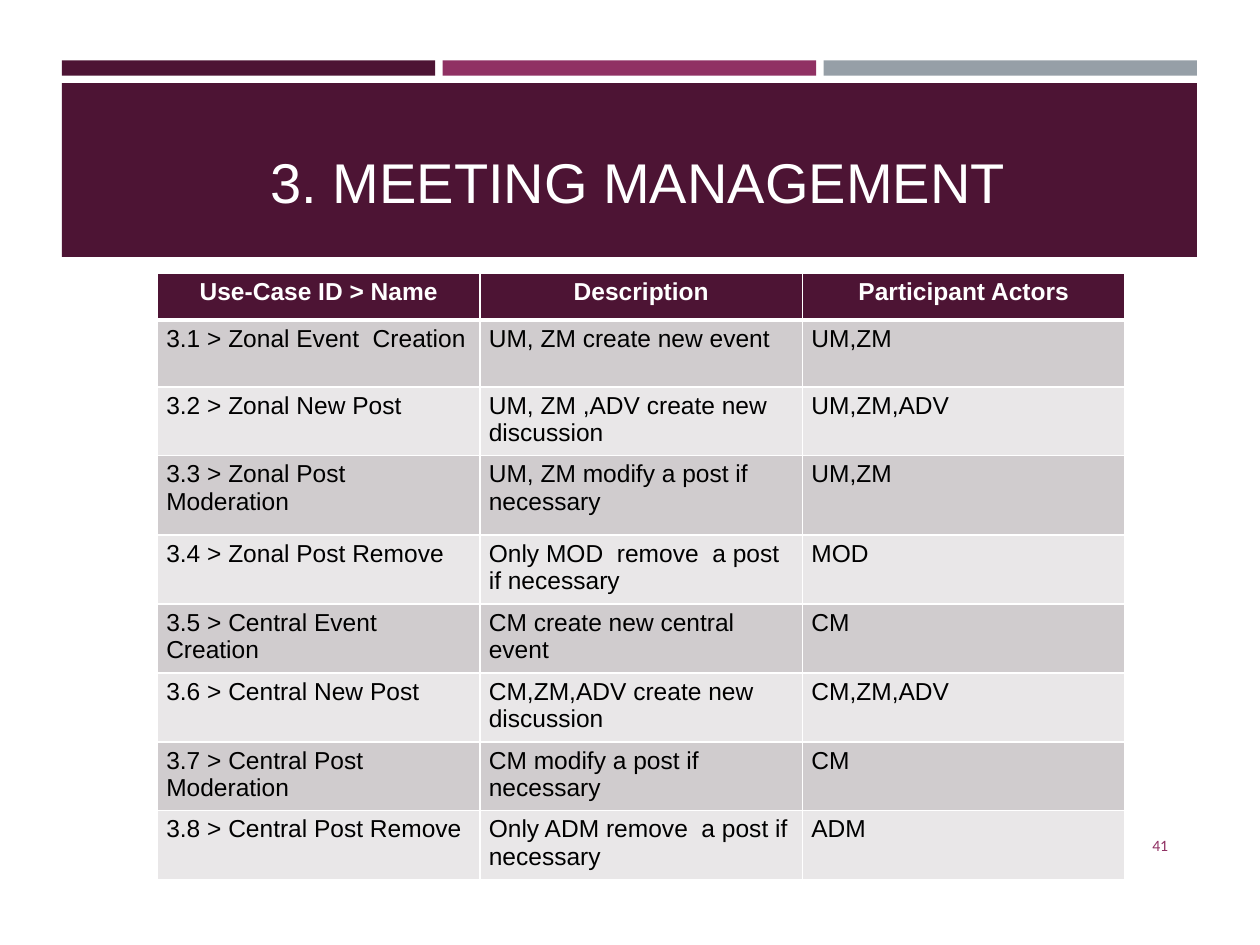
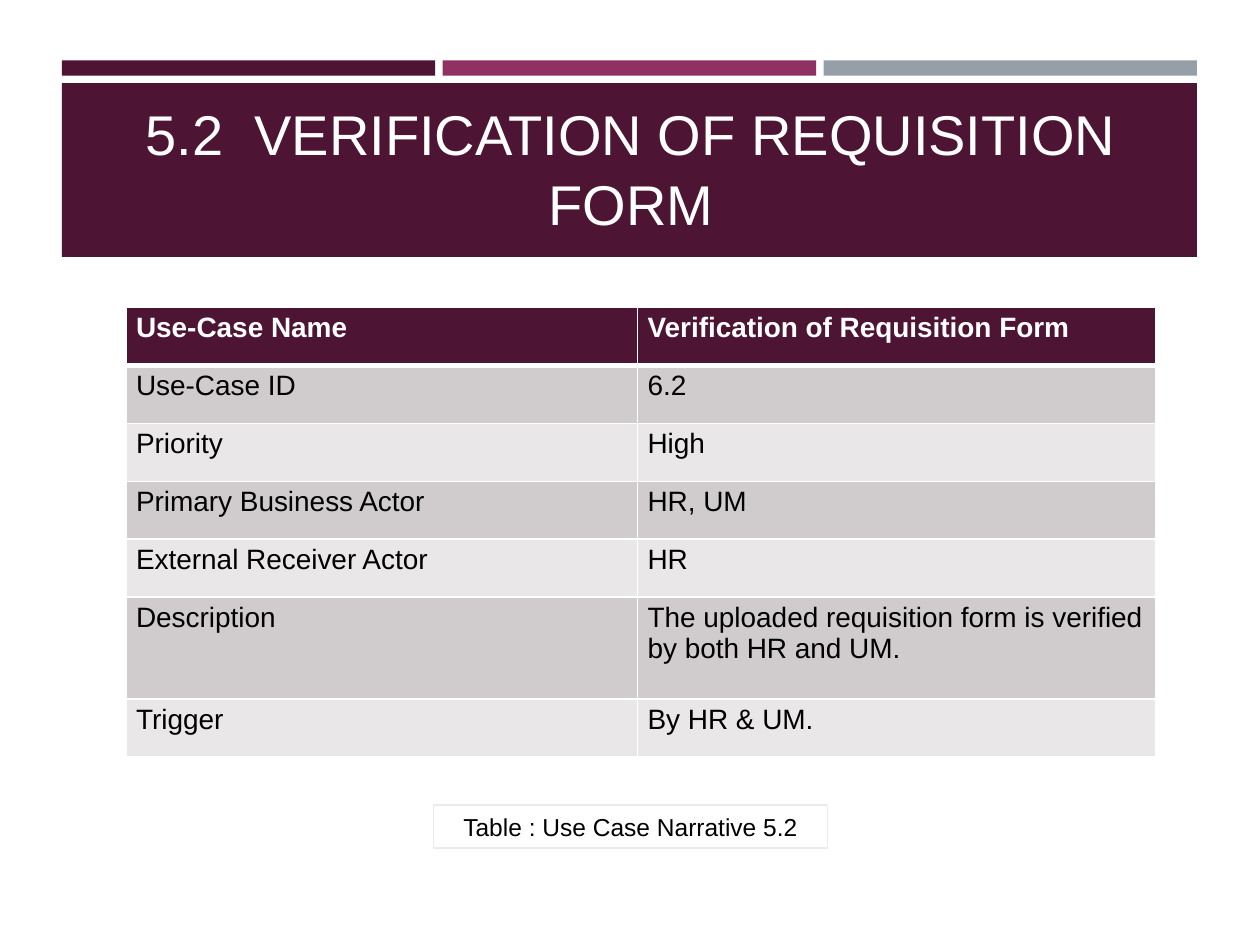
from lxml.etree import SubElement
from pptx import Presentation
from pptx.dml.color import RGBColor
from pptx.enum.shapes import MSO_SHAPE
from pptx.enum.text import MSO_ANCHOR, PP_ALIGN
from pptx.oxml.ns import qn
from pptx.util import Inches, Pt

PLUM = RGBColor(0x4D, 0x14, 0x34)
BERRY = RGBColor(0x90, 0x31, 0x63)
STEEL = RGBColor(0x96, 0x9F, 0xA7)
WHITE = RGBColor(0xFF, 0xFF, 0xFF)
BLACK = RGBColor(0, 0, 0)
PALE = RGBColor(0xEB, 0xEB, 0xEB)
STRIPES = (RGBColor(0xE9, 0xE7, 0xE8), RGBColor(0xD0, 0xCC, 0xCE))

MEETING = dict(
    title="3. MEETING MANAGEMENT", title_at=(0.82, 0.92, 8.49, 0.83),
    number="41",
    at=(1.25, 2.17), cols=[2.56] * 3, size=14, inset=0.07,
    header_align=PP_ALIGN.CENTER, row_height=0.53, tall_rows={0: 0.37, 3: 0.63},
    rows=[
        ("Use-Case ID > Name", "Description", "Participant Actors"),
        ("3.1 > Zonal Event  Creation", "UM, ZM create new event", "UM,ZM"),
        ("3.2 > Zonal New Post", "UM, ZM ,ADV create new discussion", "UM,ZM,ADV"),
        ("3.3 > Zonal Post Moderation", "UM, ZM modify a post if necessary", "UM,ZM"),
        ("3.4 > Zonal Post Remove", "Only MOD  remove  a post if necessary", "MOD"),
        ("3.5 > Central Event  Creation", "CM create new central event", "CM"),
        ("3.6 > Central New Post", "CM,ZM,ADV create new discussion", "CM,ZM,ADV"),
        ("3.7 > Central Post Moderation", "CM modify a post if necessary", "CM"),
        ("3.8 > Central Post Remove", "Only ADM remove  a post if necessary", "ADM"),
    ])

REQUISITION = dict(
    title="5.2  VERIFICATION OF REQUISITION FORM", title_at=(0.64, 0.75, 8.74, 1.18),
    caption="Table : Use Case Narrative 5.2",
    at=(1, 2.44), cols=[4.06, 4.11], size=16, inset=0.08,
    header_align=PP_ALIGN.LEFT, row_height=0.46, tall_rows={5: 0.81},
    rows=[
        ("Use-Case Name", "Verification of Requisition Form"),
        ("Use-Case ID", "6.2"),
        ("Priority", "High"),
        ("Primary Business Actor", "HR, UM"),
        ("External Receiver Actor", "HR"),
        ("Description", "The uploaded requisition form is verified by both HR and UM."),
        ("Trigger", "By HR & UM."),
    ])

BAND_LEFT, BAND_WIDTH, BAND_GAP = 0.49, 9.01, 0.06


def add_run(p, text, size, color, font="Arial", bold=False):
    r = p.add_run()
    r.text = text
    r.font.name, r.font.size, r.font.bold = font, Pt(size), bold
    r.font.color.rgb = color


def add_rect(s, at, fill=None, line=None):
    sp = s.shapes.add_shape(MSO_SHAPE.RECTANGLE, *map(Inches, at))
    sp.shadow.inherit = False
    if fill is None:
        sp.fill.background()
    else:
        sp.fill.solid()
        sp.fill.fore_color.rgb = fill
    if line is None:
        sp.line.fill.background()
    else:
        sp.line.color.rgb, sp.line.width = line, Pt(0.75)
    return sp


def write(sp, text, size, color, align, anchor, font="Arial", spacing=None):
    tf = sp.text_frame
    tf.word_wrap, tf.vertical_anchor = True, anchor
    p = tf.paragraphs[0]
    p.alignment, p.line_spacing = align, spacing
    add_run(p, text, size, color, font)


def add_text(s, at, *style, **options):
    write(s.shapes.add_textbox(*map(Inches, at)), *style, **options)


def add_bands(s):
    width = (BAND_WIDTH - 2 * BAND_GAP) / 3
    for i, color in enumerate((PLUM, BERRY, STEEL)):
        add_rect(s, (BAND_LEFT + i * (width + BAND_GAP), 0.48, width, 0.12), color)
    add_rect(s, (BAND_LEFT, 0.66, BAND_WIDTH, 1.38), PLUM)


def set_borders(cell, widths):
    tcPr = cell._tc.get_or_add_tcPr()
    for i, (side, width) in enumerate(widths.items()):
        ln = SubElement(tcPr, qn("a:" + side), w=str(Pt(width)))
        SubElement(SubElement(ln, qn("a:solidFill")), qn("a:srgbClr"), val=str(WHITE))
        tcPr.remove(ln)
        tcPr.insert(i, ln)


def add_use_cases(s, spec_):
    rows, cols = spec_["rows"], spec_["cols"]
    heights = [spec_["tall_rows"].get(i, spec_["row_height"]) for i in range(len(rows))]
    at = (*spec_["at"], sum(cols), sum(heights))
    table = s.shapes.add_table(len(rows), len(cols), *map(Inches, at)).table
    for j, width in enumerate(cols):
        table.columns[j].width = Inches(width)
    for i, row in enumerate(rows):
        table.rows[i].height = Inches(heights[i])
        header = i == 0
        for j, text in enumerate(row):
            cell = table.cell(i, j)
            cell.margin_left = cell.margin_right = Inches(spec_["inset"])
            cell.margin_top = cell.margin_bottom = Inches(0.04)
            cell.fill.solid()
            cell.fill.fore_color.rgb = PLUM if header else STRIPES[i % 2]
            p = cell.text_frame.paragraphs[0]
            p.alignment = spec_["header_align"] if header else PP_ALIGN.LEFT
            add_run(p, text, spec_["size"], WHITE if header else BLACK, bold=header)
            set_borders(cell, dict(lnL=1, lnR=1, lnT=3 if i == 1 else 1, lnB=3 if header else 1))


def main():
    prs = Presentation()
    prs.slide_width, prs.slide_height = Inches(10), Inches(7.5)
    for content in (MEETING, REQUISITION):
        s = prs.slides.add_slide(prs.slide_layouts[6])
        add_bands(s)
        add_text(s, content["title_at"], content["title"], 32, WHITE,
                 PP_ALIGN.CENTER, MSO_ANCHOR.BOTTOM, spacing=1.04)
        add_use_cases(s, content)
        if "number" in content:
            add_text(s, (8.53, 6.51, 0.84, 0.4), content["number"], 9, BERRY,
                     PP_ALIGN.RIGHT, MSO_ANCHOR.MIDDLE, font="Calibri")
        if "caption" in content:
            sp = add_rect(s, (3.44, 6.39, 3.13, 0.34), line=PALE)
            write(sp, content["caption"], 14, BLACK, PP_ALIGN.CENTER, MSO_ANCHOR.MIDDLE)
    prs.save("out.pptx")


if __name__ == "__main__":
    main()
